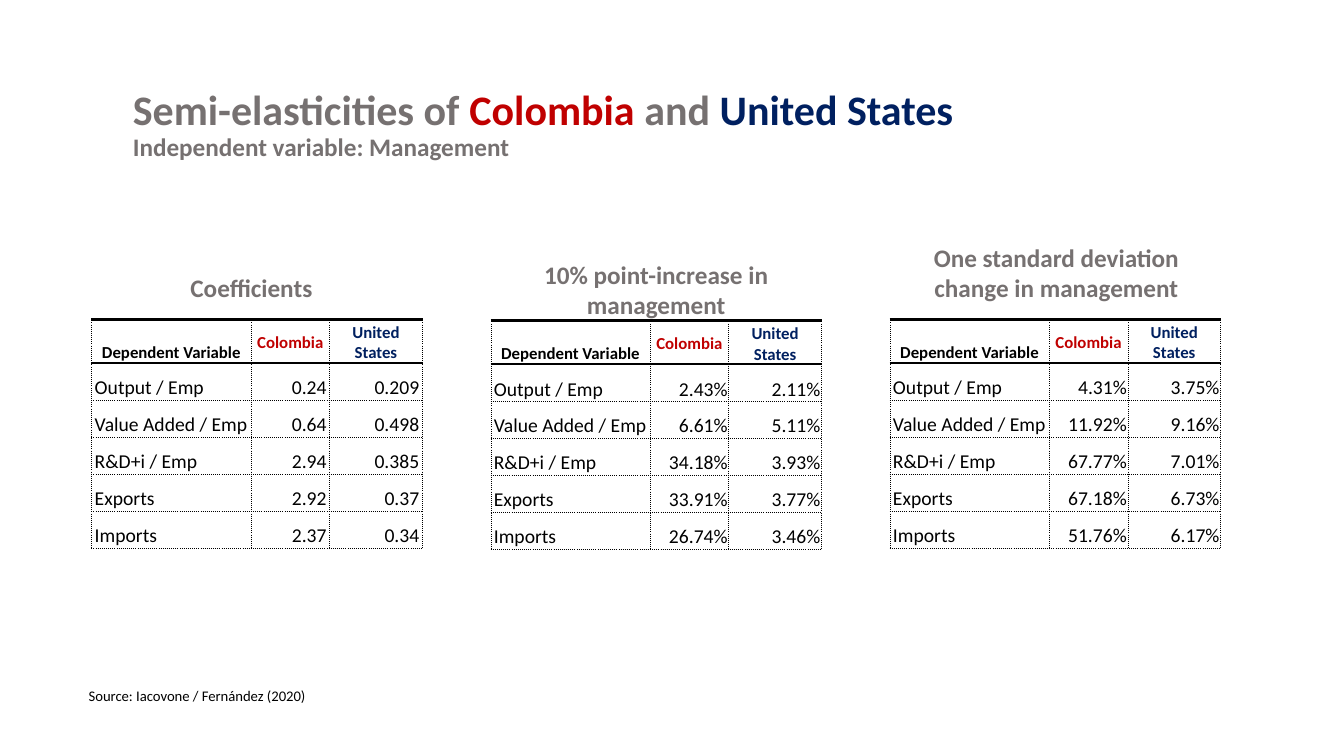
"""Build a slide comparing management semi-elasticities of two countries."""
import lxml.etree
import pptx
import pptx.dml.color
import pptx.enum.text
import pptx.oxml.ns
import pptx.util

Pt = pptx.util.Pt
ALIGN = pptx.enum.text.PP_ALIGN
ANCHOR = pptx.enum.text.MSO_ANCHOR
GREY = pptx.dml.color.RGBColor(0x76, 0x71, 0x71)
RED = pptx.dml.color.RGBColor(0xC0, 0x00, 0x00)
NAVY = pptx.dml.color.RGBColor(0x00, 0x20, 0x60)
BLACK = pptx.dml.color.RGBColor(0x00, 0x00, 0x00)

TABLE_LEFT, TABLE_STEP = 65.5, 285.1
COLUMN_WIDTHS = (113.8, 56.2, 66.2)
HEADER_HEIGHT, ROW_HEIGHT = 31.2, 26.4
HEADERS = (
    ("Dependent Variable", BLACK, ANCHOR.BOTTOM),
    ("Colombia", RED, ANCHOR.MIDDLE),
    ("United States", NAVY, ANCHOR.BOTTOM),
)
VARIABLES = ("Output / Emp", "Value Added / Emp", "R&D+i / Emp", "Exports", "Imports")
TABLES = (
    (228.2, 2.16, ("0.24", "0.64", "2.94", "2.92", "2.37"),
     ("0.209", "0.498", "0.385", "0.37", "0.34")),
    (229, 0.72, ("2.43%", "6.61%", "34.18%", "33.91%", "26.74%"),
     ("2.11%", "5.11%", "3.93%", "3.77%", "3.46%")),
    (228.2, 0.72, ("4.31%", "11.92%", "67.77%", "67.18%", "51.76%"),
     ("3.75%", "9.16%", "7.01%", "6.73%", "6.17%")),
)
HEADINGS = (
    ("Coefficients", 94.3, 190.8, 170.6, 29),
    ("10% point-increase in management", 337.7, 181.4, 262.1, 51),
    ("One standard deviation change in management", 636.5, 169.2, 236.2, 51),
)


def add_span(para, text, size=18, color=GREY, bold=True):
    """Append one formatted run to a paragraph."""
    span = para.add_run()
    span.text = text
    span.font.name = "Calibri"
    span.font.size = Pt(size)
    span.font.bold = bold
    span.font.color.rgb = color


def add_box(page, left, top, width, height, wrap=True, anchor=ANCHOR.TOP, align=ALIGN.LEFT):
    """Add a text box and return its first paragraph."""
    box = page.shapes.add_textbox(Pt(left), Pt(top), Pt(width), Pt(height))
    box.text_frame.word_wrap = wrap
    box.text_frame.vertical_anchor = anchor
    para = box.text_frame.paragraphs[0]
    para.alignment = align
    return para


def add_title(page):
    """Add the two-line slide title."""
    para = add_box(page, 87.8, 43.2, 800.6, 92.9, anchor=ANCHOR.MIDDLE)
    para.line_spacing = 0.9
    for text, color in (("Semi-elasticities of ", GREY), ("Colombia", RED),
                        (" and ", GREY), ("United States", NAVY)):
        add_span(para, text, size=30, color=color)
    para.add_line_break()
    add_span(para, "Independent variable: Management")


def set_border(cell, side, width, dash):
    """Draw one black border of a table cell."""
    name = pptx.oxml.ns.qn
    properties = cell._tc.get_or_add_tcPr()
    line = lxml.etree.SubElement(properties, name(f"a:ln{side}"), w=str(Pt(width)))
    fill = lxml.etree.SubElement(line, name("a:solidFill"))
    lxml.etree.SubElement(fill, name("a:srgbClr"), val=str(BLACK))
    lxml.etree.SubElement(line, name("a:prstDash"), val=dash)


def fill_cell(cell, text, size=14, color=BLACK, bold=False, align=ALIGN.LEFT,
              anchor=ANCHOR.BOTTOM, inset=2.16, heavy=""):
    """Write a cell and draw its borders, solid on the heavy sides."""
    cell.margin_left = cell.margin_right = cell.margin_top = Pt(inset)
    cell.margin_bottom = Pt(0)
    cell.vertical_anchor = anchor
    for side in "LRTB":
        set_border(cell, side, *((2, "solid") if side in heavy else (0.5, "dot")))
    cell.fill.background()
    para = cell.text_frame.paragraphs[0]
    para.alignment = align
    add_span(para, text, size=size, color=color, bold=bold)


def add_result_table(page, left, top, inset, colombia, states):
    """Add one table of values by dependent variable and country."""
    rows = list(zip(VARIABLES, colombia, states))
    height = HEADER_HEIGHT + ROW_HEIGHT * len(rows)
    table = page.shapes.add_table(len(rows) + 1, len(HEADERS), Pt(left), Pt(top),
                                  Pt(sum(COLUMN_WIDTHS)), Pt(height)).table
    table.first_row = table.horz_banding = False
    for column, width in zip(table.columns, COLUMN_WIDTHS):
        column.width = Pt(width)
    for index, row in enumerate(table.rows):
        row.height = Pt(ROW_HEIGHT if index else HEADER_HEIGHT)
    for column, (text, color, anchor) in enumerate(HEADERS):
        fill_cell(table.cell(0, column), text, size=12, color=color, bold=True,
                  align=ALIGN.CENTER, anchor=anchor, heavy="TB")
    for index, (variable, *values) in enumerate(rows, 1):
        heavy = "T" if index == 1 else ""
        fill_cell(table.cell(index, 0), variable, heavy=heavy)
        for column, value in enumerate(values, 1):
            fill_cell(table.cell(index, column), value, align=ALIGN.RIGHT,
                      inset=inset, heavy=heavy)


def main():
    """Build and save the deck."""
    deck = pptx.Presentation()
    deck.slide_width, deck.slide_height = Pt(960), Pt(540)
    page = deck.slides.add_slide(deck.slide_layouts[6])
    add_title(page)
    for index, content in enumerate(TABLES):
        add_result_table(page, TABLE_LEFT + index * TABLE_STEP, *content)
    for text, *place in HEADINGS:
        add_span(add_box(page, *place, align=ALIGN.CENTER), text)
    source = add_box(page, 56.2, 486.7, 195.1, 20.2, wrap=False)
    add_span(source, "Source: Iacovone / Fernández (2020)", size=10.5, color=BLACK, bold=False)
    deck.save("out.pptx")


if __name__ == "__main__":
    main()
